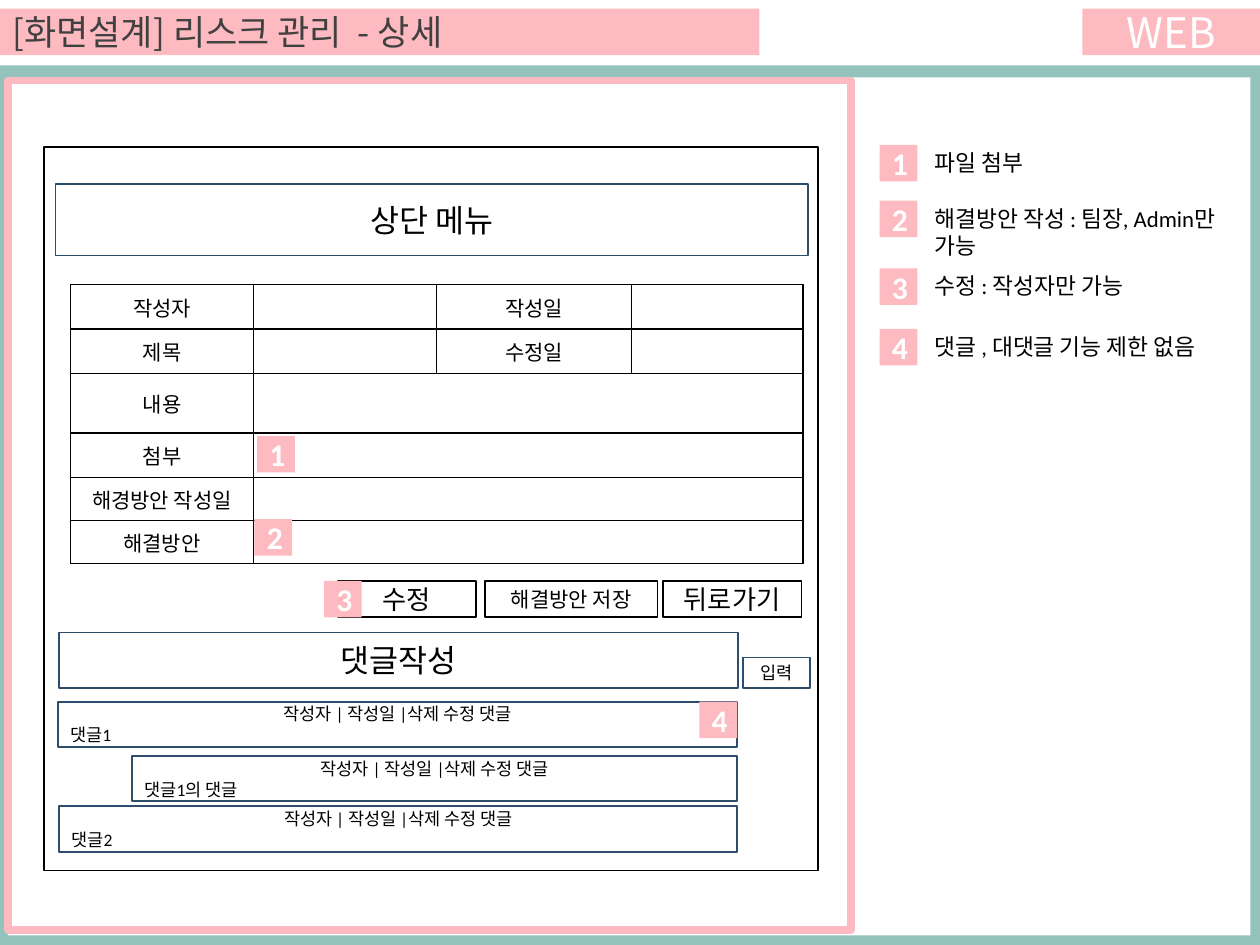
from lxml import etree
from pptx import Presentation
from pptx.dml.color import RGBColor
from pptx.enum.shapes import MSO_SHAPE
from pptx.enum.text import MSO_ANCHOR, PP_ALIGN
from pptx.oxml.ns import qn
from pptx.util import Pt

RECT = MSO_SHAPE.RECTANGLE
MIDDLE = MSO_ANCHOR.MIDDLE
LEFT, CENTER = PP_ALIGN.LEFT, PP_ALIGN.CENTER
PINK, TEAL, NAVY = "FDBBC1", "94C3BB", "2D4D6A"
WHITE, BLACK, GRAY = "FFFFFF", "000000", "404040"
SANS, KOREAN = "Calibri", "Noto Sans CJK KR"
BADGE = (21.6, 20.9)


def color(value):
    return RGBColor.from_string(value)


def style(para, size, tint=BLACK, align=CENTER, face=SANS, bold=False):
    para.alignment = align
    font = para.font
    font.size, font.name, font.bold = Pt(size), face, bold
    font.color.rgb = color(tint)


def block(slide, box, fill=WHITE, line=None, width=1):
    shape = slide.shapes.add_shape(RECT, *map(Pt, box))
    shape.shadow.inherit = False
    if fill:
        shape.fill.solid()
        shape.fill.fore_color.rgb = color(fill)
    else:
        shape.fill.background()
    if line:
        shape.line.color.rgb = color(line)
        shape.line.width = Pt(width)
    else:
        shape.line.fill.background()
    return shape


def label(slide, box, text, size, fill=WHITE, line=None, **look):
    frame = block(slide, box, fill, line).text_frame
    frame.word_wrap = True
    frame.vertical_anchor = MIDDLE
    frame.text = text
    style(frame.paragraphs[0], size, **look)
    return frame


def badge(slide, left, top, number):
    label(slide, (left, top, *BADGE), str(number), 18, PINK, tint=WHITE, bold=True)


def header(slide, left, top, width, height):
    label(slide, (left, top, 434, height), "[화면설계] 리스크 관리  - 상세", 20, PINK,
          tint=GRAY, align=LEFT, face=KOREAN)
    label(slide, (left + width - 101.5, top, 101.5, height), "WEB", 24, PINK,
          tint=WHITE, face=KOREAN)


def frames(slide, left, top, width, height):
    block(slide, (left, top, width, height), TEAL)
    block(slide, (left + 4.5, top + 6.8, width - 10, height - 12.2))
    block(slide, (left + 4.5, top + 8.6, 481.7, 485.3), None, PINK, 4.5)


def border(cell):
    props = cell._tc.get_or_add_tcPr()
    for index, side in enumerate(("lnL", "lnR", "lnT", "lnB")):
        line = etree.Element(qn(f"a:{side}"), w=str(Pt(1)))
        fill = etree.SubElement(line, qn("a:solidFill"))
        etree.SubElement(fill, qn("a:srgbClr"), val=BLACK)
        props.insert(index, line)


def details(slide, left, top, width, height):
    rows = [("작성자", "작성일"), ("제목", "수정일"), ("내용",), ("첨부",),
            ("해경방안 작성일",), ("해결방안",)]
    tall = (25.4, 25.4, 34, 25.4, 24.6, 24.6)
    wide = (104.6, 104.6, 111.4, 98)
    table = slide.shapes.add_table(len(rows), len(wide),
                                   *map(Pt, (left, top, width, height))).table
    for column, size in zip(table.columns, wide):
        column.width = Pt(size)
    for row, size in zip(table.rows, tall):
        row.height = Pt(size)
    for cell in table.iter_cells():
        cell.fill.solid()
        cell.fill.fore_color.rgb = color(WHITE)
        cell.vertical_anchor = MIDDLE
        cell.margin_top = cell.margin_bottom = 0
        border(cell)
        style(cell.text_frame.paragraphs[0], 12)
    for index, names in enumerate(rows):
        for place, name in enumerate(names):
            cell = table.cell(index, 2 * place)
            cell.text_frame.paragraphs[0].add_run().text = name
        if len(names) == 1:
            table.cell(index, 1).merge(table.cell(index, 3))
    badge(slide, left + 106.6, top + 86.4, 1)
    badge(slide, left + 105.1, top + 133.9, 2)


def buttons(slide, left, top, height):
    for shift, width, text, size in ((0, 79.2, "수정", 15),
                                     (84.2, 98.6, "해결방안 저장", 12),
                                     (185.8, 79.2, "뒤로가기", 15)):
        label(slide, (left + shift, top, width, height), text, size, line=BLACK)
    badge(slide, left - 7.9, top, 3)


def replies(slide, left, top, width):
    label(slide, (left, top, width, 31.9), "댓글작성", 18, line=NAVY)
    label(slide, (left + 391, top + 14.4, 38.2, 17.5), "입력", 10, line=NAVY)
    for inset, drop, text in ((-0.7, 39.6, "댓글1"), (41.8, 70.6, "댓글1의 댓글"),
                              (0, 99.4, "댓글2")):
        span = width - max(inset + 0.7, 0)
        frame = label(slide, (left + inset, top + drop, span, 25.9),
                      "작성자 | 작성일 |삭제 수정 댓글", 10, line=NAVY)
        para = frame.add_paragraph()
        para.text = text
        style(para, 10, align=LEFT)
    badge(slide, left + 365.8, top + 39.6, 4)


def mockup(slide, left, top, width, height):
    block(slide, (left, top, width, height), line=BLACK)
    label(slide, (left + 6.5, top + 20.9, width - 12.2, 41), "상단 메뉴", 18, line=NAVY)
    details(slide, left + 15.1, top + 78.5, 418.6, 159.4)
    buttons(slide, left + 167.8, top + 247.7, 20.9)
    replies(slide, left + 8.6, top + 277.2, 388.1)


def notes(slide, left, top, width):
    items = ((0, "파일 첨부"), (31.9, "해결방안 작성 : 팀장, Admin만 가능"),
             (70.6, "수정 : 작성자만 가능"), (105.1, "댓글 , 대댓글 기능 제한 없음"))
    for number, (drop, text) in enumerate(items, 1):
        badge(slide, left, top + drop + 1.4, number)
        box = (left + 24.4, top + drop, width - 24.4, 23)
        frame = slide.shapes.add_textbox(*map(Pt, box)).text_frame
        frame.word_wrap = True
        frame.text = text
        style(frame.paragraphs[0], 13, align=LEFT)


def main():
    deck = Presentation()
    deck.slide_width, deck.slide_height = Pt(720), Pt(540)
    slide = deck.slides.add_slide(deck.slide_layouts[6])
    frames(slide, 0, 37.4, 720, 502.6)
    header(slide, 0, 5, 720, 26.6)
    mockup(slide, 25.2, 84.2, 442.1, 413.3)
    notes(slide, 502.6, 81.4, 203.7)
    deck.save("out.pptx")


if __name__ == "__main__":
    main()
